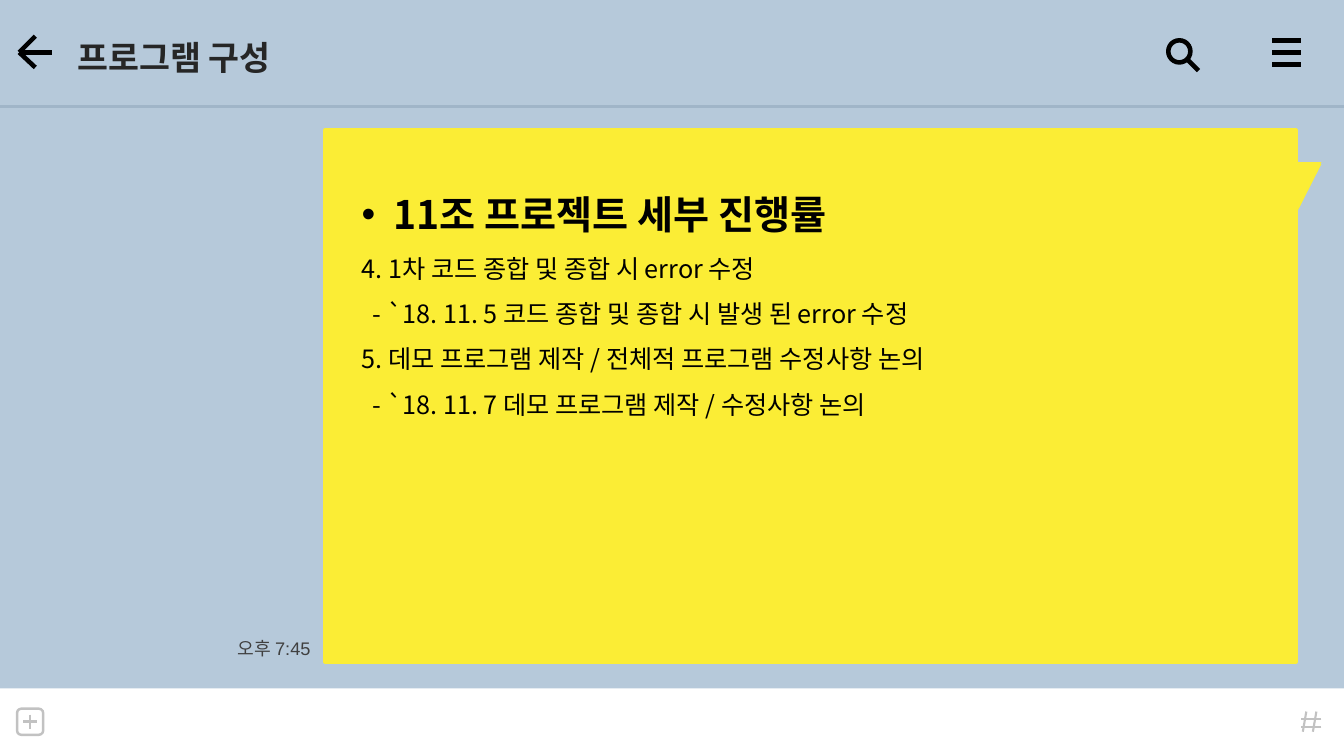
from dataclasses import dataclass

from lxml import etree
from pptx import Presentation
from pptx import util as u
from pptx.dml.color import RGBColor
from pptx.enum import shapes, text
from pptx.oxml.ns import qn

COLORS = {
    "sky": "B6C9DA", "edge": "A0B5C8", "black": "000000", "white": "FFFFFF",
    "gray": "C2C2C2", "title": "262626", "time": "404040", "yellow": "FBED35",
}
HANGUL = "Noto Sans CJK KR"
SHAPE = shapes.MSO_SHAPE


@dataclass
class Box:
    kind: shapes.MSO_SHAPE
    at: tuple[float, float, float, float]
    fill: str = ""
    line: str = ""
    width: float = 0
    flip: bool = False


@dataclass
class Stroke:
    start: tuple[float, float]
    end: tuple[float, float]
    color: str = "black"
    width: float = 3.25


@dataclass
class Line:
    words: str
    size: float
    color: str = "black"
    font: str = HANGUL
    bold: bool = False
    spacing: float = 1.0
    left: float = 0
    bullet: bool = False


def rgb(name: str) -> RGBColor:
    return RGBColor.from_string(COLORS[name])


def draw_box(s, b: Box):
    sp = s.shapes.add_shape(b.kind, *map(u.Pt, b.at))
    sp.shadow.inherit = False
    if b.fill:
        sp.fill.solid()
        sp.fill.fore_color.rgb = rgb(b.fill)
    else:
        sp.fill.background()
    if b.line:
        sp.line.color.rgb = rgb(b.line)
        sp.line.width = u.Pt(b.width)
    else:
        sp.line.fill.background()
    if b.flip:
        sp._element.spPr.find(qn("a:xfrm")).set("flipV", "1")
    return sp


def draw_stroke(s, k: Stroke) -> None:
    c = s.shapes.add_connector(shapes.MSO_CONNECTOR.STRAIGHT,
                               *map(u.Pt, k.start + k.end))
    c.line.color.rgb = rgb(k.color)
    c.line.width = u.Pt(k.width)
    etree.SubElement(c._element.spPr, qn("a:effectLst"))


def write(sp, at: tuple[float, float, float, float], lines: list[Line]) -> None:
    for name, value in zip(("left", "top", "width", "height"), at):
        setattr(sp, name, u.Pt(value))
    tf = sp.text_frame
    frame = {"word_wrap": True, "vertical_anchor": text.MSO_ANCHOR.TOP,
             "auto_size": text.MSO_AUTO_SIZE.SHAPE_TO_FIT_TEXT}
    for name, value in frame.items():
        setattr(tf, name, value)
    for i, line in enumerate(lines):
        p = tf.add_paragraph() if i else tf.paragraphs[0]
        p.alignment = text.PP_ALIGN.LEFT
        p.line_spacing = line.spacing
        pPr = p._p.get_or_add_pPr()
        pPr.set("marL", str(u.Pt(line.left)))
        if line.bullet:
            pPr.set("indent", str(-u.Pt(line.left)))
            etree.SubElement(pPr, qn("a:buFont")).set("typeface", "Arial")
            etree.SubElement(pPr, qn("a:buChar")).set("char", "•")
        r = p.add_run()
        r.text = line.words
        style = {"size": u.Pt(line.size), "bold": line.bold, "name": line.font}
        for name, value in style.items():
            setattr(r.font, name, value)
        r.font.color.rgb = rgb(line.color)
        etree.SubElement(r._r.get_or_add_rPr(), qn("a:ea")).set("typeface", HANGUL)


def main() -> None:
    prs = Presentation()
    prs.slide_width, prs.slide_height = u.Pt(960), u.Pt(540)
    s = prs.slides.add_slide(prs.slide_layouts[5])
    s.background.fill.solid()
    s.background.fill.fore_color.rgb = rgb("sky")

    # Header bar, with the title in front of it
    header = draw_box(s, Box(SHAPE.RECTANGLE, (-9.4, -2.2, 979.2, 78.5),
                             "sky", "edge", 2))
    title = s.shapes.title
    write(title, (48.2, 23, 183.6, 36),
          [Line("프로그램 구성", 24, "title", "Arial", True)])
    header._element.addnext(title._element)

    # Search, menu and back icons
    draw_box(s, Box(SHAPE.OVAL, (834.5, 28.8, 15.8, 15.8), "", "black", 3.25))
    icons = [Stroke((848.2, 42.5), (856.1, 50.4))]
    icons += [Stroke((908.6, y), (929.5, y)) for y in (28.8, 37.4, 46)]
    icons += [Stroke((13.7, 37.4), end)
              for end in ((37.4, 37.4), (25.2, 25.9), (25.2, 48.2))]
    for k in icons:
        draw_stroke(s, k)

    # Input bar with hash and plus icons
    draw_box(s, Box(SHAPE.RECTANGLE, (-0.7, 491.8, 961.2, 48.2), "white"))
    draw_box(s, Box(SHAPE.ROUNDED_RECTANGLE, (12.2, 506.2, 18.7, 18.7),
                    "", "gray", 1.75))
    marks = [Stroke((x, 508.3), (x - 2.5, 522.7), "gray", 1.5)
             for x in (933.1, 940.3)]
    marks += [Stroke((943.9, y), (929.5, y), "gray", 1.5) for y in (513.4, 519.1)]
    marks += [Stroke((16.6, 515.2), (26.6, 515.2), "gray", 1.75),
              Stroke((21.6, 510.5), (21.6, 520.6), "gray", 1.75)]
    for k in marks:
        draw_stroke(s, k)

    # Time of the message
    write(s.shapes.add_textbox(0, 0, 0, 0), (162.7, 451.4, 69.1, 23),
          [Line("오후 7:45", 13, "time", "Arial")])

    # Speech bubble in two layers, each with a tail
    for top in (94.3, 92.9):
        draw_box(s, Box(SHAPE.RECTANGLE, (232.6, top, 692.6, 378.7),
                        "yellow", "yellow", 3.25))
        draw_box(s, Box(SHAPE.RIGHT_TRIANGLE, (924.5, top + 23, 19.4, 38.2),
                        "yellow", flip=True))

    # Message
    message = [Line("11조 프로젝트 세부 진행률", 28, bold=True, spacing=1.5,
                    left=22.5, bullet=True)]
    message += [Line(words, 18, spacing=1.5, left=left) for words, left in (
        ("4. 1차 코드 종합 및 종합 시 error 수정", 0),
        ("- `18. 11. 5 코드 종합 및 종합 시 발생 된 error 수정", 8),
        ("5. 데모 프로그램 제작 / 전체적 프로그램 수정사항 논의", 0),
        ("- `18. 11. 7 데모 프로그램 제작 / 수정사항 논의", 8),
    )]
    write(s.shapes.add_textbox(0, 0, 0, 0), (251.3, 115.9, 468, 192.2), message)

    prs.save("out.pptx")


if __name__ == "__main__":
    main()
